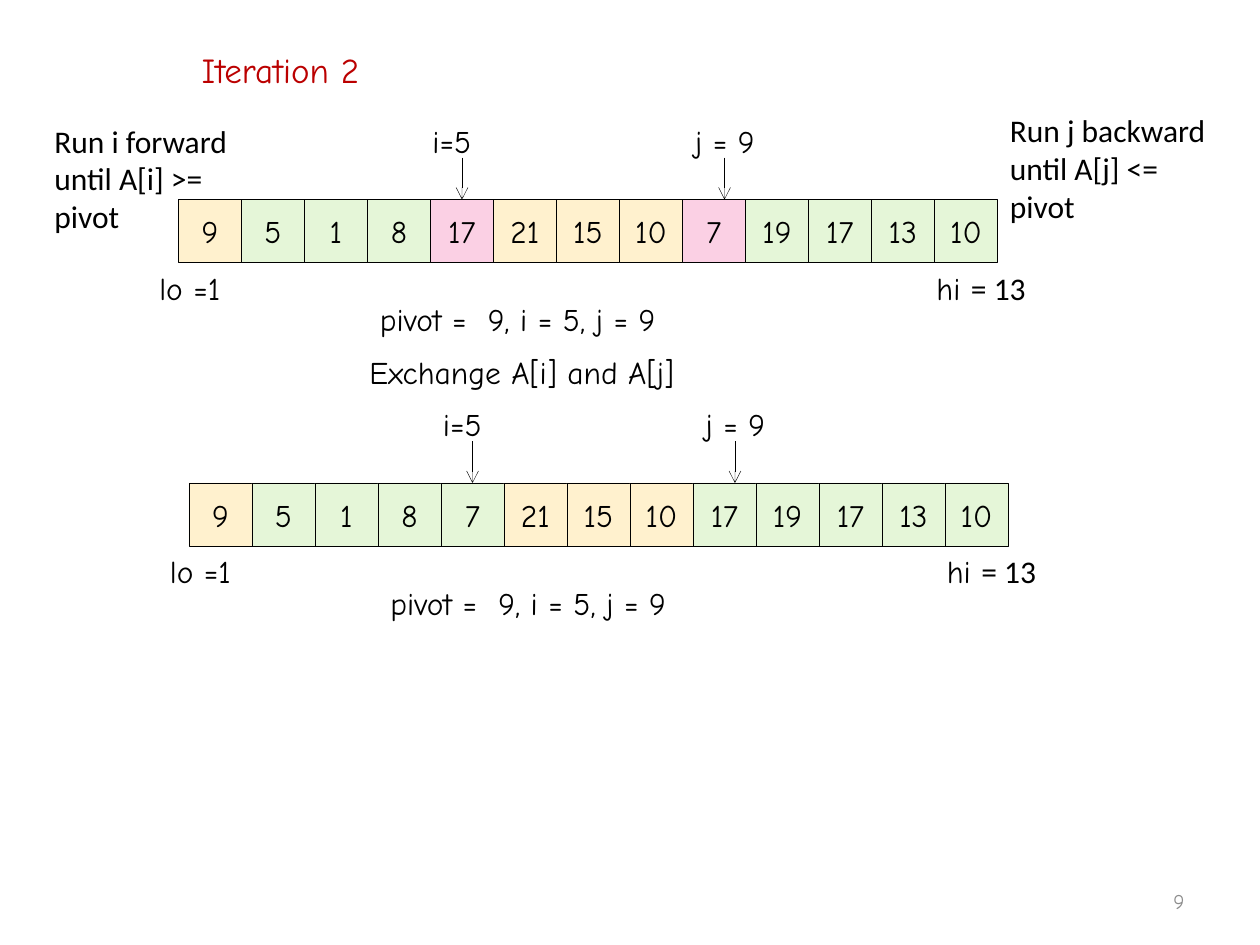
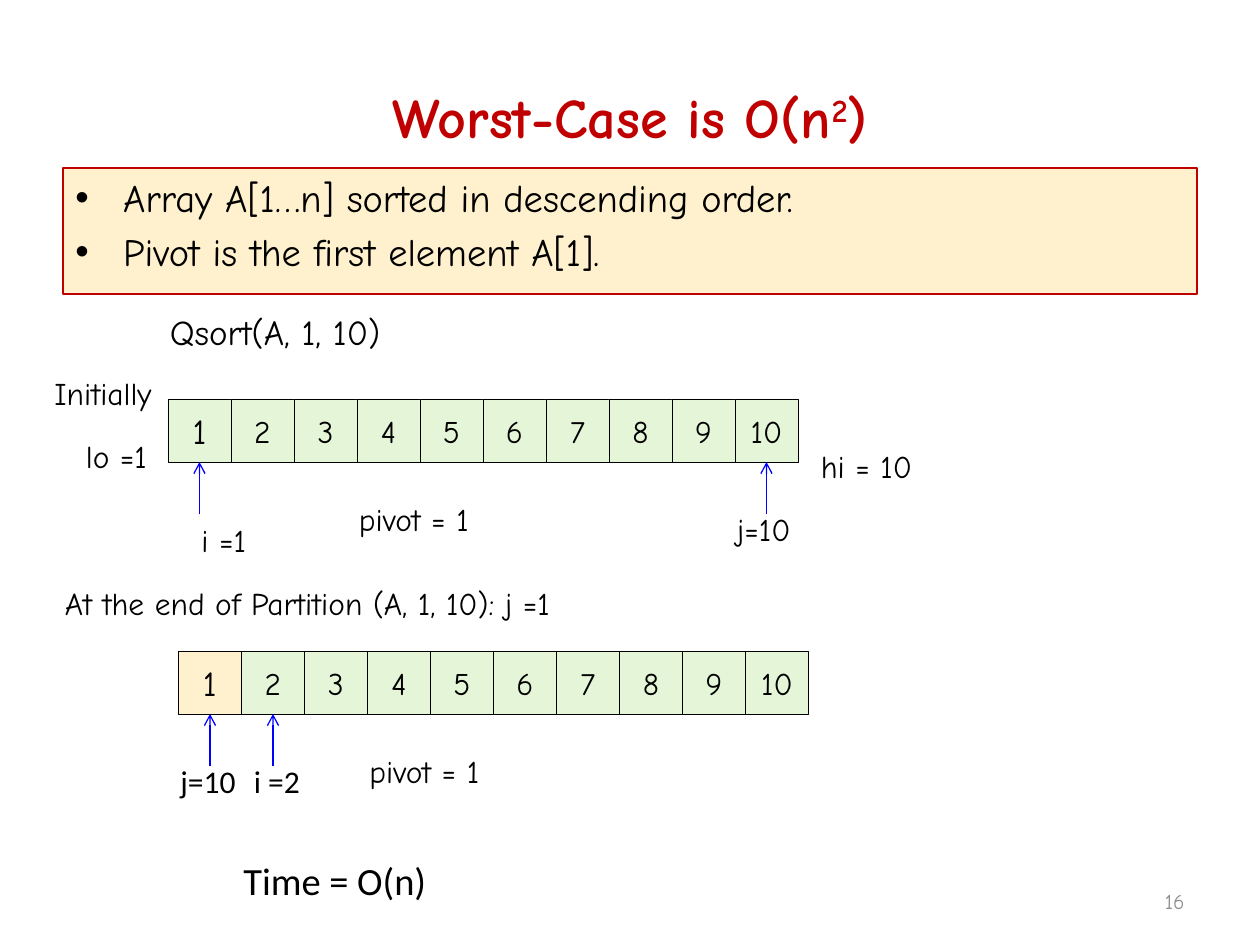
from lxml import etree
from pptx import Presentation
from pptx import util as u
from pptx.dml.color import RGBColor
from pptx.enum import shapes, text
from pptx.oxml.ns import qn

COLS, ROWS = 120, 90
UNIT = u.Inches(10) // COLS
CELL = 6
HAND, PLAIN = "Comic Neue", "Calibri"
HUES = {
    "ink": "000000", "head": "BB0000", "title": "C00000", "page": "8C8C8C",
    "arrow": "0000FF", "g": "E5F6D8", "o": "FFF1CE", "p": "FBD0E4",
}
ALIGN = text.PP_ALIGN
ANCHOR = text.MSO_ANCHOR
FIT = text.MSO_AUTO_SIZE


def hue(name):
    return RGBColor.from_string(HUES[name])


def grid(*nums):
    """Turn grid columns or rows into lengths."""
    return [round(n * UNIT) for n in nums]


def write(para, words, size=18, font=HAND, color="ink", bold=False,
          align=ALIGN.LEFT, raised=False):
    run = para.add_run()
    run.text = words
    run.font.size = u.Pt(size)
    run.font.name = font
    run.font.bold = bold
    run.font.color.rgb = hue(color)
    para.alignment = align
    if raised:
        run._r.get_or_add_rPr().set("baseline", "30000")


def label(slide, x, y, wide, words, wrap=False, size=18, **look):
    """Add a top-left anchored box, one line high unless it wraps."""
    box = slide.shapes.add_textbox(*grid(x, y, wide, 1.2 + size / 5))
    frame = box.text_frame
    frame.word_wrap = wrap
    frame.auto_size = FIT.SHAPE_TO_FIT_TEXT
    write(frame.paragraphs[0], words, size=size, **look)
    return frame.paragraphs[0]


def block(slide, x, y, wide, high, fill, edge, width):
    rect = slide.shapes.add_shape(shapes.MSO_SHAPE.RECTANGLE,
                                  *grid(x, y, wide, high))
    rect.shadow.inherit = False
    rect.fill.solid()
    rect.fill.fore_color.rgb = hue(fill)
    rect.line.color.rgb = hue(edge)
    rect.line.width = u.Pt(width)
    return rect.text_frame


def array(slide, x, y, values, fills, first=18):
    """Draw one row of cells; first is the text size of the first cell."""
    for n, (value, fill) in enumerate(zip(values, fills)):
        frame = block(slide, x + n * CELL, y, CELL, CELL, fill, "ink", 0.25)
        frame.margin_left = frame.margin_right = 0
        frame.vertical_anchor = ANCHOR.MIDDLE
        write(frame.paragraphs[0], str(value), align=ALIGN.CENTER,
              size=18 if n else first)


def arrow(slide, x, start, end, color="ink", width=0.25):
    line = slide.shapes.add_connector(shapes.MSO_CONNECTOR.STRAIGHT,
                                      *grid(x, start, x, end))
    line.line.color.rgb = hue(color)
    line.line.width = u.Pt(width)
    stroke = line.line._get_or_add_ln()
    etree.SubElement(stroke, qn("a:tailEnd"), type="arrow")
    etree.SubElement(line._element.spPr, qn("a:effectLst"))


def bullets(frame, lines, size):
    frame.word_wrap = True
    frame.vertical_anchor = ANCHOR.TOP
    for n, words in enumerate(lines):
        para = frame.add_paragraph() if n else frame.paragraphs[0]
        write(para, words, size=size)
        para.space_before = u.Pt(size * 0.2)
        props = para._p.get_or_add_pPr()
        props.set("marL", str(u.Inches(0.38)))
        props.set("indent", str(-u.Inches(0.38)))
        etree.SubElement(props, qn("a:buFont"), typeface="Arial")
        etree.SubElement(props, qn("a:buChar"), char="•")


def start(deck, page, place, anchor, wrap):
    """Add a slide with its number; return it and its title paragraph."""
    slide = deck.slides.add_slide(deck.slide_layouts[5])
    title = slide.shapes.title
    title.left, title.top, title.width, title.height = grid(*place)
    frame = title.text_frame
    frame.word_wrap = wrap
    frame.auto_size = FIT.NONE
    frame.vertical_anchor = anchor
    foot = slide.shapes.add_textbox(*grid(86, 83.4, 28, 4.8)).text_frame
    foot.word_wrap = True
    foot.vertical_anchor = ANCHOR.MIDDLE
    write(foot.paragraphs[0], str(page), size=12, color="page",
          align=ALIGN.RIGHT)
    return slide, frame.paragraphs[0]


def stage(slide, x, y, values, fills):
    """Draw the array with its i and j markers and bounds."""
    array(slide, x, y, values, fills)
    for dx, wide, words in ((23, 6.6, "i=5"), (48, 8.9, "j = 9")):
        label(slide, x + dx, y - 8, wide, words)
        arrow(slide, x + dx + 4, y - 4, y)
    label(slide, x - 3, y + 6, 8.6, "lo =1")
    write(label(slide, x + 71, y + 6, 11.2, "hi "), "= 13", font=PLAIN)
    label(slide, x + 18, y + 9, 34.2, "pivot =  9, i = 5, j = 9")


def swap(deck):
    slide, title = start(deck, 9, (18, 4, 20.2, 5.3), ANCHOR.TOP, False)
    write(title, "Iteration 2", size=20, color="head")
    label(slide, 4, 11, 23, "Run i forward until A[i] >= pivot",
          wrap=True, font=PLAIN)
    label(slide, 95, 10, 23, "Run j backward until A[j] <= pivot",
          wrap=True, font=PLAIN)
    values = [9, 5, 1, 8, 17, 21, 15, 10, 7, 19, 17, 13, 10]
    stage(slide, 17, 19, values, "ogggpooopgggg")
    label(slide, 34, 33, 34.4, "Exchange A[i] and A[j]")
    values[4], values[8] = values[8], values[4]
    stage(slide, 18, 46, values, "oggggoooggggg")


def split(slide, x, y, fills, marks):
    """Draw the sorted array with arrows below the marked cells."""
    array(slide, x, y, range(1, 11), fills, first=20)
    for n in marks:
        arrow(slide, x + 3 + n * CELL, y + 11, y + 6, "arrow", 0.75)
    label(slide, x + 17, y + 9, 14, "pivot = 1")


def worst(deck):
    slide, title = start(deck, 16, (6, 3.6, 108, 15), ANCHOR.MIDDLE, True)
    for words, raised in (("Worst-Case is O(n", False), ("2", True),
                          (")", False)):
        write(title, words, size=32, color="title", bold=True,
              align=ALIGN.CENTER, raised=raised)
    bullets(block(slide, 6, 16, 108, 12, "o", "title", 0.75),
            ["Array A[1…n] sorted in descending order.",
             "Pivot is the first element A[1]."], 22)

    label(slide, 15, 29, 26, "Qsort(A, 1, 10)", size=20)
    split(slide, 16, 38, "g" * 10, (0, 9))
    for x, y, wide, words in ((4, 35, 13.6, "Initially"), (7, 41, 9.6, "lo =1"),
                              (18, 49, 8, "i =1"), (77, 42, 12.5, "hi = 10")):
        label(slide, x, y, wide, words)
    label(slide, 69, 48, 9, "j=10", wrap=True)

    label(slide, 5, 55, 55.2, "At the end of Partition (A, 1, 10): j =1")
    split(slide, 17, 62, "o" + "g" * 9, (0, 1))
    label(slide, 16, 72, 8, "j=10", wrap=True, font=PLAIN)
    label(slide, 23, 72, 7.6, "i =2", font=PLAIN)
    label(slide, 22, 81, 20, "Time = O(n)", size=22, font=PLAIN)


def main():
    deck = Presentation()
    deck.slide_width, deck.slide_height = grid(COLS, ROWS)
    swap(deck)
    worst(deck)
    deck.save("out.pptx")


if __name__ == "__main__":
    main()
